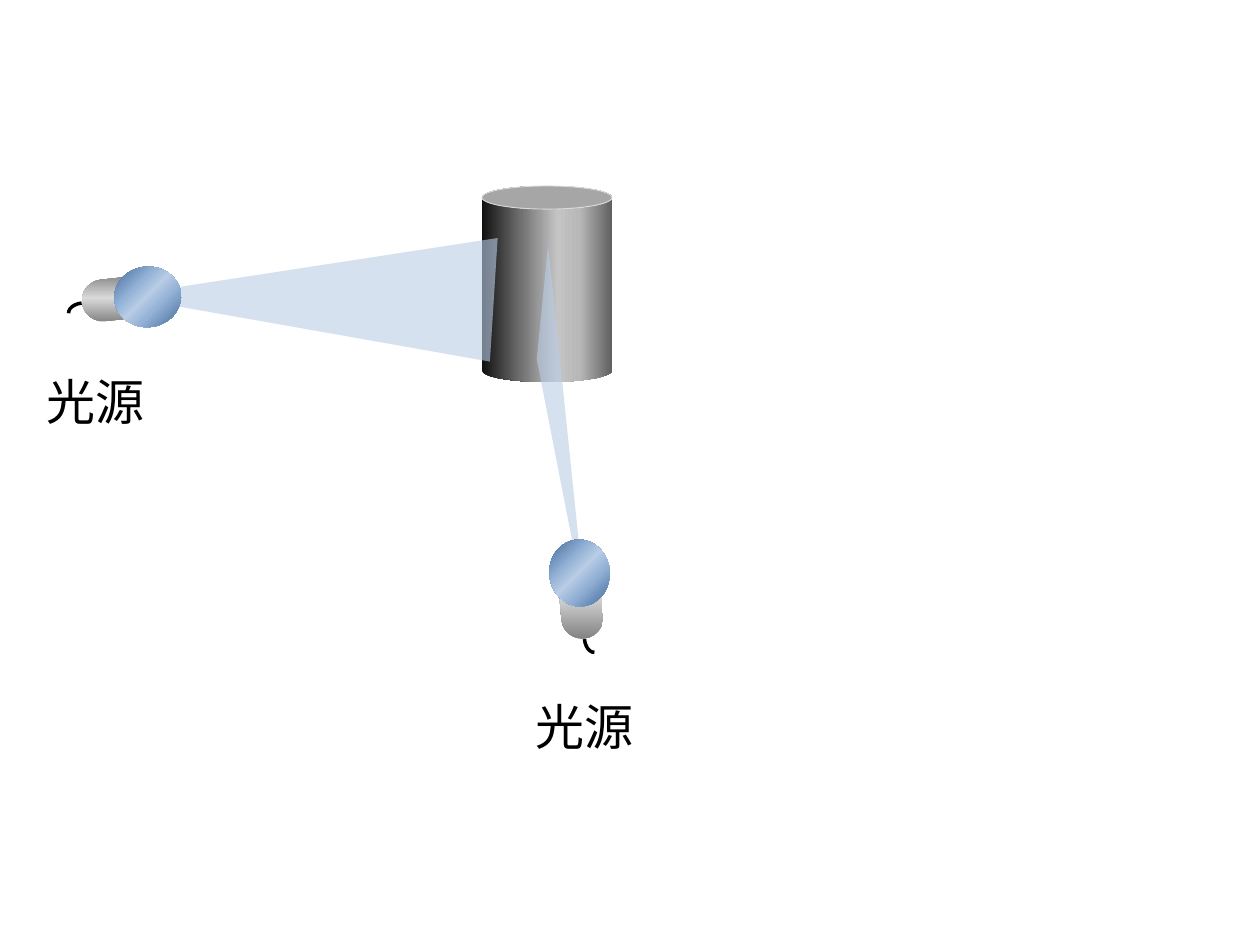
from math import cos, radians, sin

from lxml import etree
from pptx import Presentation
from pptx.dml.color import RGBColor
from pptx.enum.shapes import MSO_SHAPE
from pptx.oxml.ns import qn
from pptx.util import Pt

ARC, CAN = MSO_SHAPE.ARC, MSO_SHAPE.CAN
OVAL, ROUND_RECT = MSO_SHAPE.OVAL, MSO_SHAPE.ROUNDED_RECTANGLE

BLACK = RGBColor(0x00, 0x00, 0x00)
BEAM_BLUE = RGBColor(0xB9, 0xCD, 0xE5)
MID_BLUE = RGBColor(0x95, 0xB3, 0xD7)
DARK_BLUE = RGBColor(0x37, 0x60, 0x92)
TOP_GREY = RGBColor(0xA6, 0xA6, 0xA6)
RIM_GREY = RGBColor(0xD9, 0xD9, 0xD9)
DARK_GREY = RGBColor(0x80, 0x80, 0x80)

# Gradient stops: percent and colour
LENS_STOPS = [(0, DARK_BLUE), (35, MID_BLUE), (49, BEAM_BLUE),
              (64, MID_BLUE), (100, DARK_BLUE)]
HOUSING_STOPS = [(0, DARK_GREY), (50, RIM_GREY), (100, DARK_GREY)]
CYLINDER_STOPS = [(0, RGBColor(0x10, 0x10, 0x10)), (30, RGBColor(0x70, 0x70, 0x70)),
                  (58, RGBColor(0xC4, 0xC4, 0xC4)), (75, RGBColor(0xB8, 0xB8, 0xB8)),
                  (100, RGBColor(0x60, 0x60, 0x60))]

LABEL_FORMAT = {"name": "Calibri", "size": Pt(28)}


def fill_gradient(shape, stops, angle):
    """Fill with a linear gradient; the angle is seen on the slide, clockwise."""
    shape.fill.gradient()
    gradient = shape.fill._fill._gradFill
    stop_list = gradient.find(qn("a:gsLst"))
    for old_stop in list(stop_list):
        stop_list.remove(old_stop)
    for percent, colour in stops:
        stop = etree.SubElement(stop_list, qn("a:gs"), pos=str(percent * 1000))
        etree.SubElement(stop, qn("a:srgbClr"), val=str(colour))
    turned = (angle - shape.rotation) % 360
    gradient.find(qn("a:lin")).set("ang", str(round(turned * 60000)))


def add_part(slide, kind, left, top, width, height, rotation=0):
    part = slide.shapes.add_shape(kind, Pt(left), Pt(top), Pt(width), Pt(height))
    part.rotation = rotation
    part.shadow.inherit = False
    part.line.fill.background()
    return part


def add_cylinder(slide, left, top, width, height, rim):
    body = add_part(slide, CAN, left, top, width, height)
    body.adjustments[0] = rim / min(width, height)
    fill_gradient(body, CYLINDER_STOPS, 0)
    lid = add_part(slide, OVAL, left, top, width, rim)
    lid.fill.solid()
    lid.fill.fore_color.rgb = TOP_GREY
    lid.line.color.rgb = RIM_GREY
    lid.line.width = Pt(0.5)


def add_beam(slide, corners):
    builder = slide.shapes.build_freeform(Pt(corners[0][0]), Pt(corners[0][1]))
    builder.add_line_segments([(Pt(x), Pt(y)) for x, y in corners[1:]], close=True)
    beam = builder.convert_to_shape()
    beam.shadow.inherit = False
    beam.line.fill.background()
    beam.fill.solid()
    beam.fill.fore_color.rgb = BEAM_BLUE
    colour = beam.fill._xPr.find(qn("a:solidFill")).find(qn("a:srgbClr"))
    etree.SubElement(colour, qn("a:alpha"), val="60000")


def add_lamp(slide, centre_x, centre_y, direction):
    """Housing, cable and lens along an axis that points in the direction."""
    ax, ay = cos(radians(direction)), sin(radians(direction))

    def add_on_axis(kind, along, across, width, height, rotation):
        x = centre_x + along * ax - across * ay
        y = centre_y + along * ay + across * ax
        return add_part(slide, kind, x - width / 2, y - height / 2,
                        width, height, rotation)

    housing = add_on_axis(ROUND_RECT, 0, 0, 49.7, 23.8, direction)
    housing.adjustments[0] = 0.5
    fill_gradient(housing, HOUSING_STOPS, 90)

    cable = add_on_axis(ARC, -25.1, 5.2, 10, 16, direction - 90)
    cable.fill.background()
    cable.line.color.rgb = BLACK
    cable.line.width = Pt(2)

    lens = add_on_axis(OVAL, 12.8, 0.7, 34.6, 38.2, direction - 90)
    fill_gradient(lens, LENS_STOPS, 45)


def add_label(slide, left, top, text):
    label = slide.shapes.add_textbox(Pt(left), Pt(top), Pt(130.3), Pt(41))
    label.text_frame.word_wrap = True
    run = label.text_frame.paragraphs[0].add_run()
    run.text = text
    for key, value in LABEL_FORMAT.items():
        setattr(run.font, key, value)
    run.font.color.rgb = BLACK


def main():
    deck = Presentation()
    deck.slide_width, deck.slide_height = Pt(720), Pt(540)
    slide = deck.slides.add_slide(deck.slide_layouts[6])

    add_cylinder(slide, 275.4, 106.3, 74.3, 112, 13.2)

    # Light from the left
    add_beam(slide, [(280, 206.6), (68.4, 169.2), (284.4, 136)])
    add_lamp(slide, 71.6, 170.3, 353.9)
    add_label(slide, 19.4, 208.8, "光源")

    # Light from below
    add_beam(slide, [(313.2, 139.7), (334.8, 349.2), (306.7, 205.2)])
    add_lamp(slide, 331.6, 340.2, 265)
    add_label(slide, 298.8, 394.6, "光源")

    deck.save("out.pptx")


if __name__ == "__main__":
    main()
